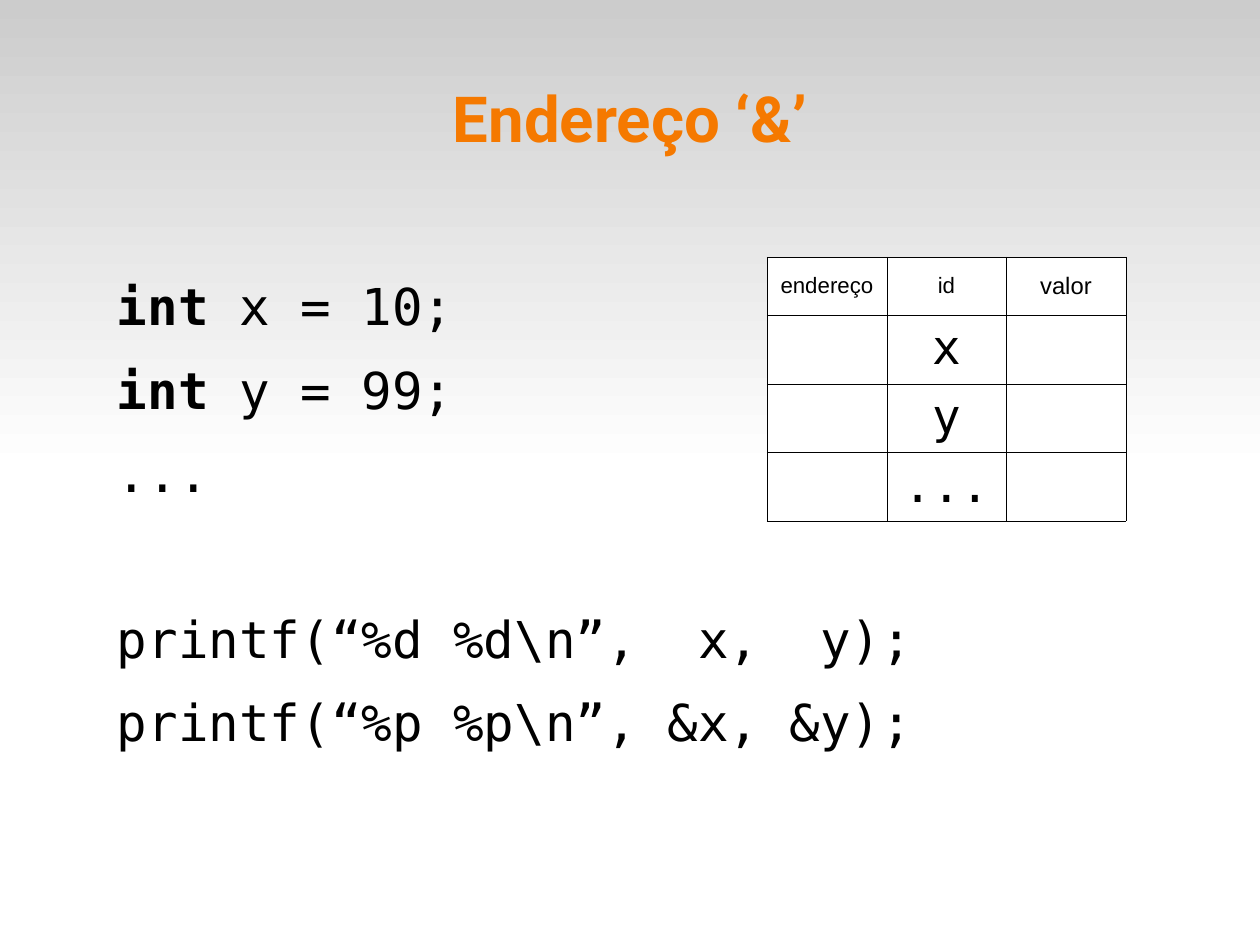
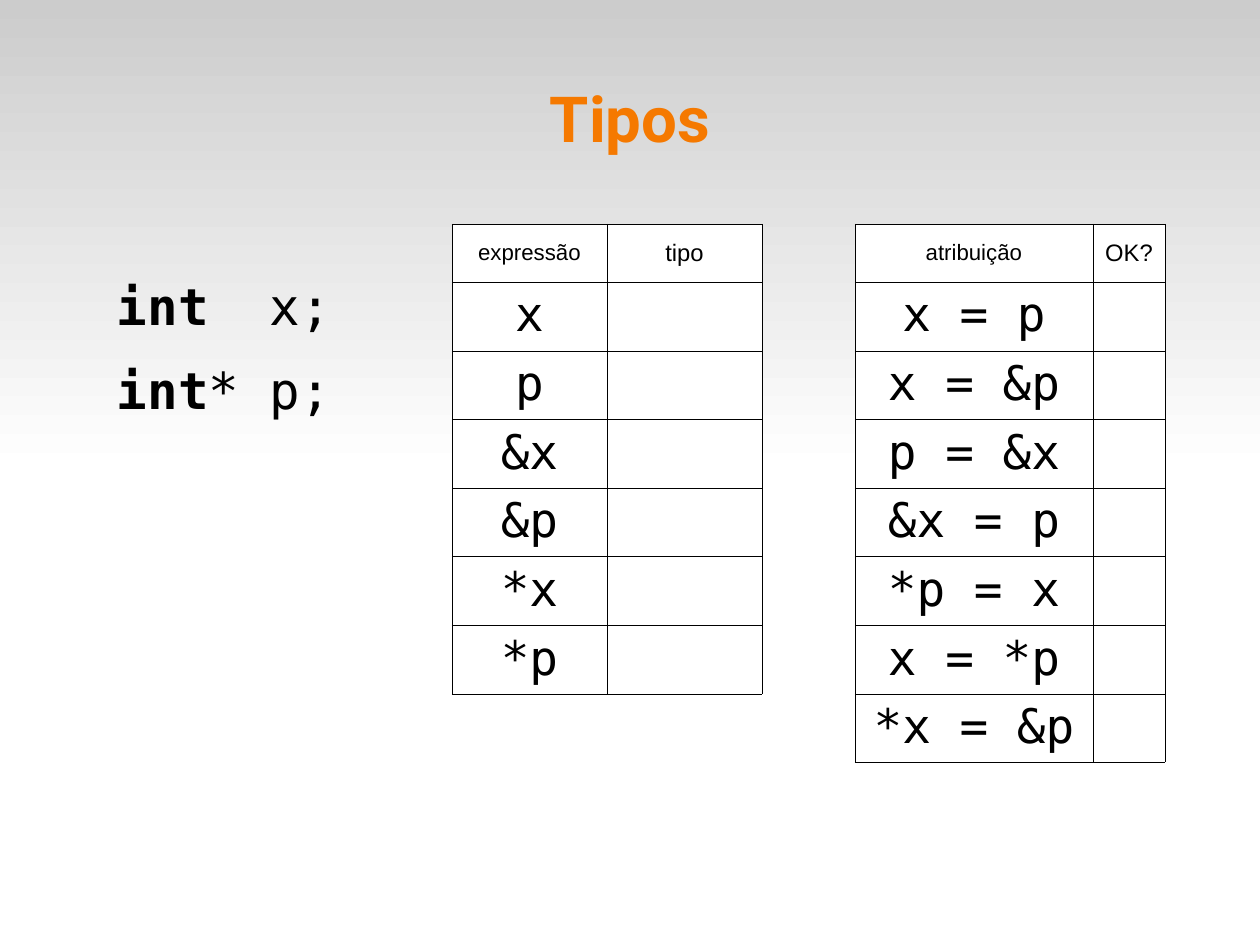
from lxml import etree
from pptx import Presentation
from pptx.dml.color import RGBColor
from pptx.enum.shapes import MSO_SHAPE
from pptx.enum.text import MSO_ANCHOR, PP_ALIGN
from pptx.oxml import parse_xml
from pptx.oxml.ns import nsdecls
from pptx.util import Pt

PX = 8000  # EMU per px
WIDE, HIGH = 1260, 945
HEAD, ROW = 58, 68

ORANGE = RGBColor(0xF5, 0x79, 0x00)
GRAY = RGBColor(0xCC, 0xCC, 0xCC)
WHITE = RGBColor(0xFF, 0xFF, 0xFF)
BLACK = RGBColor(0x00, 0x00, 0x00)

SANS, MONO, BOLD = "Arial", "DejaVu Sans Mono", "Roboto"
RECT = MSO_SHAPE.RECTANGLE
MIDDLE, TOP = MSO_ANCHOR.MIDDLE, MSO_ANCHOR.TOP
CENTER = PP_ALIGN.CENTER

# Code lines: keyword, rest, space before in px.
# Tables: left, top, column widths, header, column with text, its entries.
SLIDES = [
    ("Endereço ‘&’",
     [("int", " x = 10;", 0),
      ("int", " y = 99;", 0),
      ("", "...", 0),
      ("", "printf(“%d %d\\n”,  x,  y);", 82),
      ("", "printf(“%p %p\\n”, &x, &y);", 0)],
     [(767, 257, [120, 119, 120], ["endereço", "id", "valor"], 1,
       ["x", "y", "..."])]),
    ("Tipos",
     [("int", "  x;", 0),
      ("int", "* p;", 0)],
     [(452, 224, [155, 155], ["expressão", "tipo"], 0,
       ["x", "p", "&x", "&p", "*x", "*p"]),
      (855, 224, [238, 72], ["atribuição", "OK?"], 0,
       ["x = p", "x = &p", "p = &x", "&x = p", "*p = x", "x = *p",
        "*x = &p"])]),
]


def style(run, face, size, color=BLACK, bold=False):
    font = run.font
    font.name, font.size, font.bold = face, Pt(size), bold
    font.color.rgb = color


def add_box(slide, left, top, width, height, anchor):
    """Add a wrapping text box without margins and return its frame."""
    box = slide.shapes.add_textbox(left * PX, top * PX, width * PX, height * PX)
    frame = box.text_frame
    frame.word_wrap = True
    frame.vertical_anchor = anchor
    frame.margin_left = frame.margin_right = 0
    frame.margin_top = frame.margin_bottom = 0
    return frame


deck = Presentation()
deck.slide_width, deck.slide_height = WIDE * PX, HIGH * PX
blank = deck.slide_layouts[6]
pages = [deck.slides.add_slide(blank) for _ in SLIDES]

# The gray fade belongs to the layout, so every slide shows it.
fade = pages[0].shapes.add_shape(RECT, 0, 0, WIDE * PX, 472 * PX)
fade.shadow.inherit = False
fade.line.fill.background()
fade.fill.gradient()
fade.fill.gradient_angle = 270
for stop, color in zip(fade.fill.gradient_stops, (GRAY, WHITE)):
    stop.color.rgb = color
blank.shapes.element.append(fade.element)

for page, (title, code, tables) in zip(pages, SLIDES):
    frame = add_box(page, 63, 38, 1134, 158, MIDDLE)
    frame.text = title
    para = frame.paragraphs[0]
    para.alignment = CENTER
    style(para.runs[0], BOLD, 40, ORANGE, True)

    frame = add_box(page, 117, 275, 1080, 624, TOP)
    for i, (key, rest, gap) in enumerate(code):
        para = frame.add_paragraph() if i else frame.paragraphs[0]
        para.space_after = Pt(14.2)
        if gap:
            para.space_before = gap * PX
        for text, bold in ((key, True), (rest, False)):
            if text:
                run = para.add_run()
                run.text = text
                style(run, MONO, 32, bold=bold)

    for left, top, widths, header, place, items in tables:
        rows = [header]
        for item in items:
            rows.append([item if c == place else "" for c in range(len(widths))])
        height = HEAD + ROW * len(items)
        grid = page.shapes.add_table(len(rows), len(widths), left * PX, top * PX,
                                     sum(widths) * PX, height * PX).table
        grid.first_row = grid.horz_banding = False
        for column, width in zip(grid.columns, widths):
            column.width = width * PX
        for r, texts in enumerate(rows):
            grid.rows[r].height = (ROW if r else HEAD) * PX
            for c, text in enumerate(texts):
                cell = grid.cell(r, c)
                props = cell._tc.get_or_add_tcPr()
                for side in "LRTB":
                    edge = parse_xml(f'<a:ln{side} {nsdecls("a")} w="762"/>')
                    fill = etree.SubElement(edge, edge.tag[:-3] + "solidFill")
                    etree.SubElement(fill, edge.tag[:-3] + "srgbClr", val=str(BLACK))
                    props.append(edge)
                cell.fill.solid()
                cell.fill.fore_color.rgb = WHITE
                if not text:
                    continue
                cell.text_frame.text = text
                para = cell.text_frame.paragraphs[0]
                para.alignment = CENTER
                if r:
                    style(para.runs[0], MONO, 30)
                else:
                    cell.vertical_anchor = MIDDLE
                    style(para.runs[0], SANS, 15 if c == len(widths) - 1 else 14)

deck.save("out.pptx")
